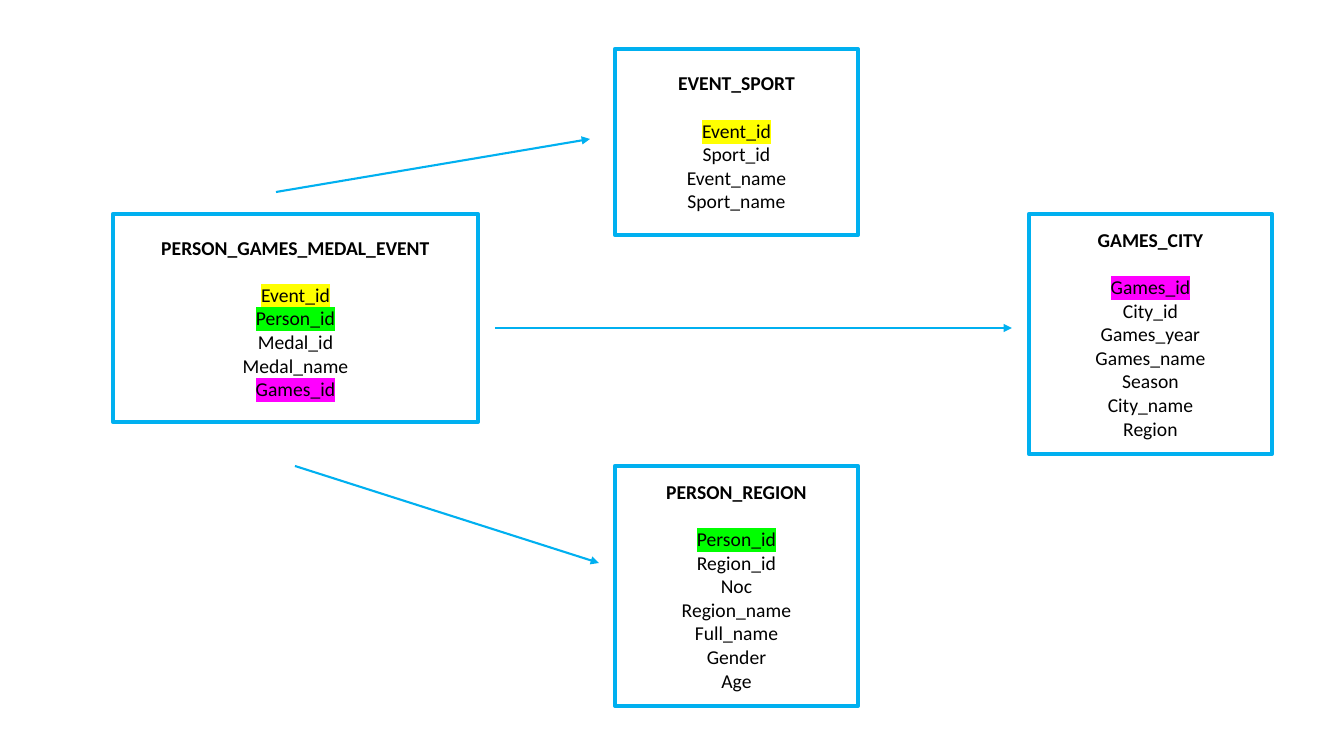
from lxml import etree
from pptx import Presentation
from pptx.dml.color import RGBColor
from pptx.enum.shapes import MSO_CONNECTOR, MSO_SHAPE
from pptx.enum.text import MSO_ANCHOR, PP_ALIGN
from pptx.oxml.ns import qn
from pptx.util import Pt

RECT, STRAIGHT = MSO_SHAPE.RECTANGLE, MSO_CONNECTOR.STRAIGHT
MIDDLE, CENTER = MSO_ANCHOR.MIDDLE, PP_ALIGN.CENTER

COLORS = {"box": "FFFFFF", "line": "00B0F0", "text": "000000"}
KEY_COLORS = {"Event_id": "FFFF00", "Person_id": "00FF00", "Games_id": "FF00FF"}
FONT = {"name": "Calibri", "size": Pt(14)}
TITLE_GAP = Pt(17)  # one line of 14 pt text

# Entity name, (left, top, width, height) in pixels, fields
ENTITIES = [
    ("PERSON_GAMES_MEDAL_EVENT", (113, 214, 365, 208),
     ["Event_id", "Person_id", "Medal_id", "Medal_name", "Games_id"]),
    ("EVENT_SPORT", (615, 49, 243, 186),
     ["Event_id", "Sport_id", "Event_name", "Sport_name"]),
    ("GAMES_CITY", (1029, 214, 243, 240),
     ["Games_id", "City_id", "Games_year", "Games_name", "Season",
      "City_name", "Region"]),
    ("PERSON_REGION", (615, 466, 243, 240),
     ["Person_id", "Region_id", "Noc", "Region_name", "Full_name",
      "Gender", "Age"]),
]
# Start x, y and end x, y in pixels
ARROWS = [(276, 192, 590, 139), (495, 328, 1012, 328), (295, 466, 599, 563)]


def px(*values):
    """Turn pixels into EMU."""
    return [round(v * 914400 / 100.8) for v in values]


def rgb(name):
    """Look up a named colour."""
    return RGBColor.from_string(COLORS[name])


def style_line(line, points):
    """Set the shared line colour and a width."""
    line.color.rgb = rgb("line")
    line.width = Pt(points)


def highlight(r, color):
    """Put a marker colour behind a run."""
    fill = r.font._element.find(qn("a:solidFill"))
    mark = etree.Element(qn("a:highlight"))
    etree.SubElement(mark, qn("a:srgbClr"), val=color)
    fill.addnext(mark)


def add_line(p, text, bold=False):
    """Write one centred line, marking it if it is a key."""
    p.alignment = CENTER
    r = p.add_run()
    r.text = text
    for key, value in {**FONT, "bold": bold}.items():
        setattr(r.font, key, value)
    r.font.color.rgb = rgb("text")
    if text in KEY_COLORS:
        highlight(r, KEY_COLORS[text])


def add_entity(s, name, box, fields):
    """Draw an entity box with its name and fields."""
    sp = s.shapes.add_shape(RECT, *px(*box))
    sp.shadow.inherit = False
    sp.fill.solid()
    sp.fill.fore_color.rgb = rgb("box")
    style_line(sp.line, 3)
    tf = sp.text_frame
    tf.word_wrap = True
    tf.vertical_anchor = MIDDLE
    title = tf.paragraphs[0]
    add_line(title, name, bold=True)
    title.space_after = TITLE_GAP
    for field in fields:
        add_line(tf.add_paragraph(), field)


def add_arrow(s, ends):
    """Draw a relation arrow."""
    cx = s.shapes.add_connector(STRAIGHT, *px(*ends))
    style_line(cx.line, 1.5)
    sp_pr = cx._element.spPr
    etree.SubElement(sp_pr.find(qn("a:ln")), qn("a:tailEnd"), type="triangle")
    etree.SubElement(sp_pr, qn("a:effectLst"))


prs = Presentation()
prs.slide_width, prs.slide_height = px(1344, 756)
s = prs.slides.add_slide(prs.slide_layouts[6])
for entity in ENTITIES:
    add_entity(s, *entity)
for ends in ARROWS:
    add_arrow(s, ends)
prs.save("out.pptx")
